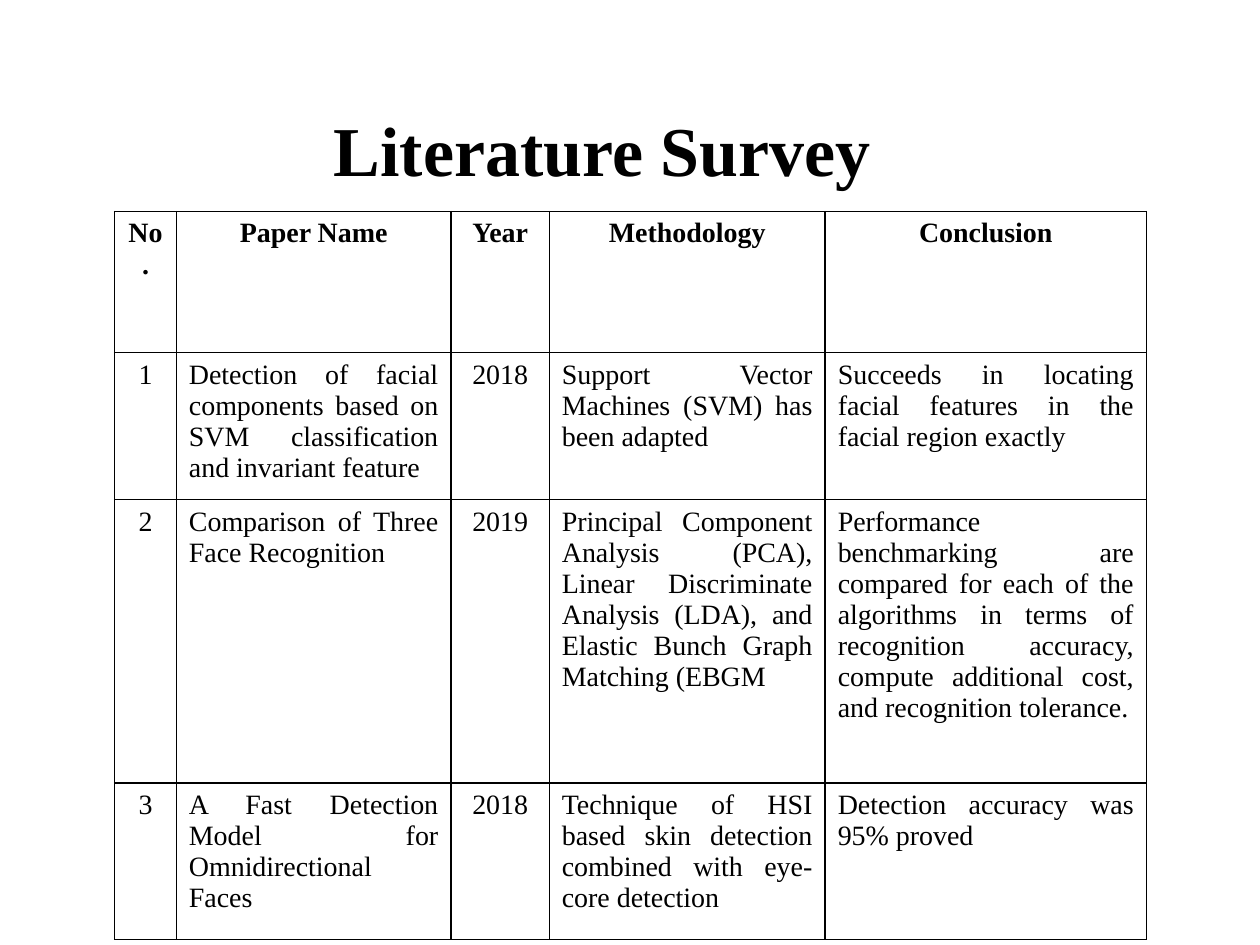
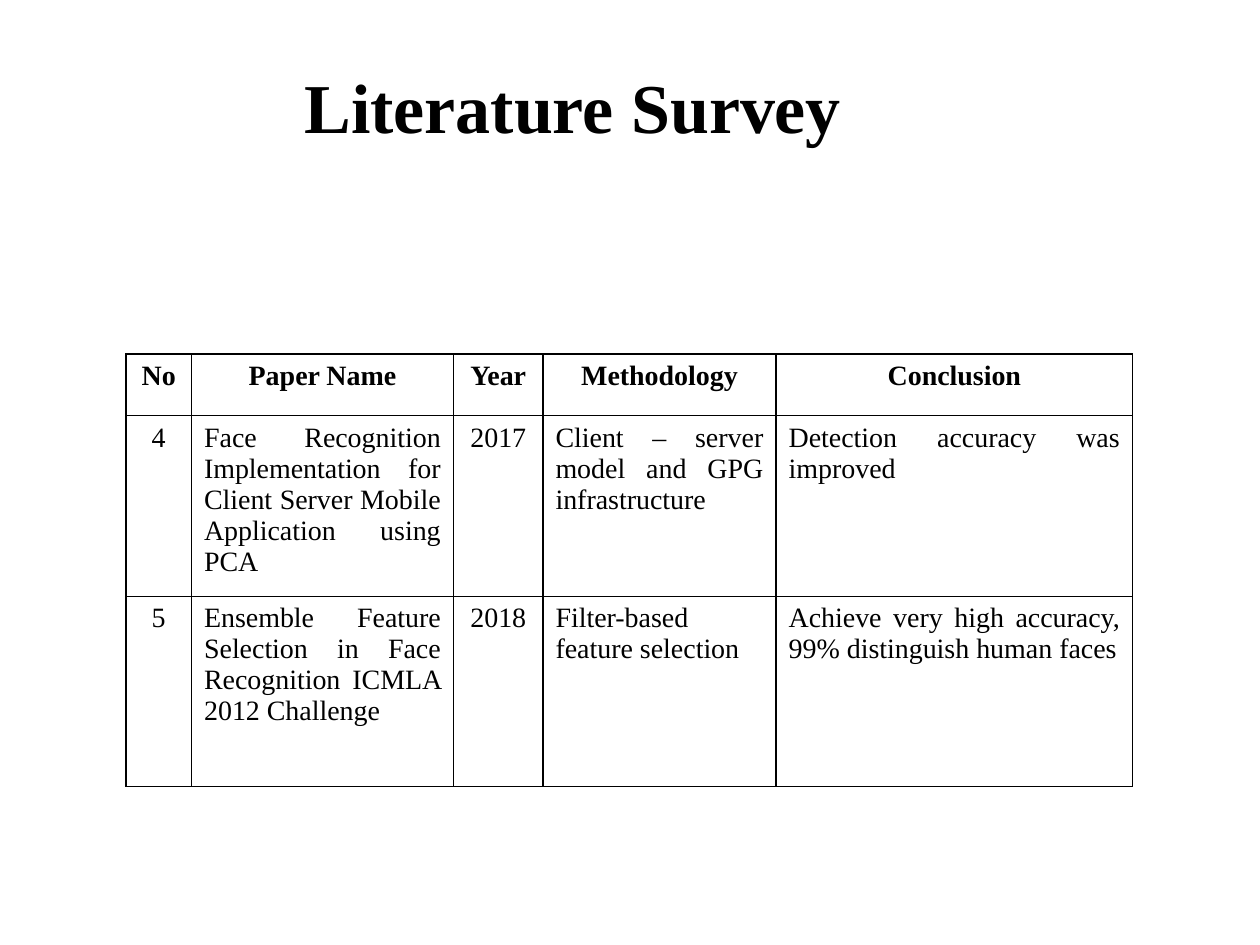
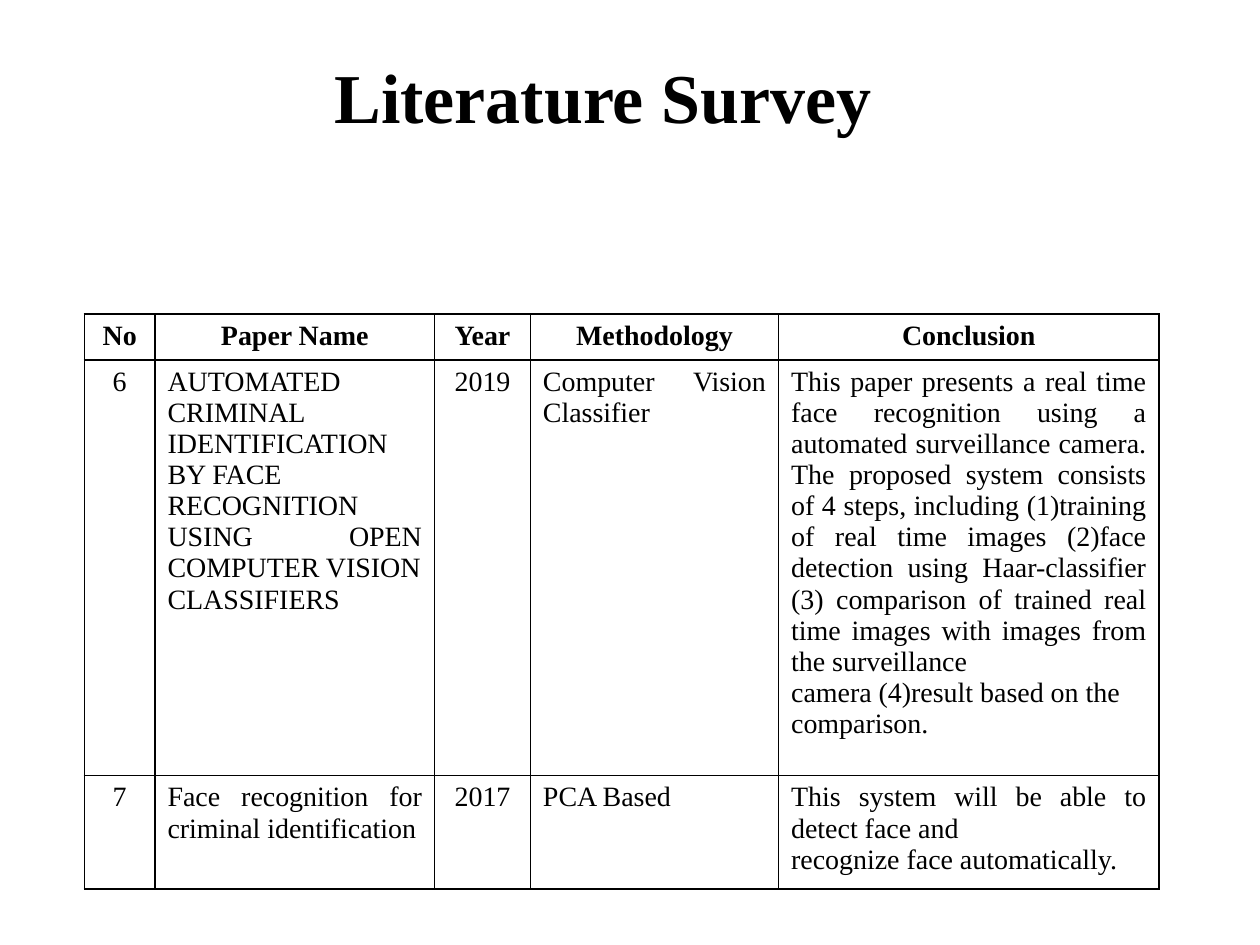
from lxml import etree
from pptx import Presentation
from pptx.dml.color import RGBColor
from pptx.enum.text import MSO_ANCHOR, PP_ALIGN
from pptx.oxml.ns import qn
from pptx.util import Inches, Pt

BLACK = RGBColor(0x00, 0x00, 0x00)
WHITE = RGBColor(0xFF, 0xFF, 0xFF)
FONT = "Times New Roman"
TITLE_SIZE, CELL_SIZE, BORDER = 40, 16, Pt(1)
CENTERED_COLS = (0, 2)  # number and year

# Content: a line break in a cell starts a new paragraph
SURVEYS = [
    {
        "title": "Literature Survey",
        "title_box": (0.28, 0.68, 9, 1),
        "origin": (0.91, 1.68),
        "cols": (0.49, 2.18, 0.78, 2.19, 2.55),
        "heights": (1.12, 1.04, 2.25, 1.24),
        "number_head": "No.",
        "papers": [
            ("1", "Detection of facial components based on SVM classification and invariant feature",
             "2018", "Support Vector Machines (SVM) has been adapted",
             "Succeeds in locating facial features in the facial region exactly"),
            ("2", "Comparison of Three Face Recognition", "2019",
             "Principal Component Analysis (PCA), Linear Discriminate Analysis (LDA), "
             "and Elastic Bunch Graph Matching (EBGM",
             "Performance benchmarking are compared for each of the algorithms in terms of "
             "recognition accuracy, compute additional cost, and recognition tolerance."),
            ("3", "A Fast Detection Model for Omnidirectional Faces", "2018",
             "Technique of HSI based skin detection combined with eye-core detection",
             "Detection accuracy was 95% proved"),
        ],
    },
    {
        "title": "Literature Survey ",
        "title_box": (1.3, 0.29, 6.63, 1.09),
        "origin": (1, 2.81),
        "cols": (0.52, 2.08, 0.71, 1.85, 2.83),
        "heights": (0.49, 1.26, 1.51),
        "number_head": "No",
        "papers": [
            ("4", "Face Recognition Implementation for Client Server Mobile Application using PCA",
             "2017", "Client – server model and GPG infrastructure",
             "Detection accuracy was improved"),
            ("5", "Ensemble Feature Selection in Face Recognition ICMLA 2012 Challenge",
             "2018", "Filter-based feature selection",
             "Achieve very high accuracy, 99% distinguish human faces"),
        ],
    },
    {
        "title": "Literature Survey ",
        "title_box": (1.54, 0.21, 6.63, 1.09),
        "origin": (0.67, 2.49),
        "cols": (0.56, 2.22, 0.76, 1.97, 3.02),
        "heights": (0.27, 2.86, 0.84),
        "number_head": "No",
        "papers": [
            ("6", "AUTOMATED CRIMINAL IDENTIFICATION BY FACE\n"
             "RECOGNITION USING OPEN COMPUTER VISION\nCLASSIFIERS",
             "2019", "Computer Vision Classifier",
             "This paper presents a real time face recognition using a automated surveillance "
             "camera. The proposed system consists of 4 steps, including (1)training of real "
             "time images (2)face detection using Haar-classifier (3) comparison of trained "
             "real time images with images from the surveillance\n"
             "camera (4)result based on the\ncomparison."),
            ("7", "Face recognition for criminal identification", "2017", "PCA Based",
             "This system will be able to detect face and\nrecognize face automatically. "),
        ],
    },
]
HEADS = ("Paper Name", "Year", "Methodology", "Conclusion")


def write(tf, text, size, bold, align):
    for i, line in enumerate(text.split("\n")):
        p = tf.paragraphs[0] if i == 0 else tf.add_paragraph()
        p.alignment = align
        r = p.add_run()
        r.text = line
        r.font.name, r.font.size, r.font.bold = FONT, Pt(size), bold
        r.font.color.rgb = BLACK


def add_borders(cell):
    tcPr = cell._tc.get_or_add_tcPr()
    for side in ("a:lnL", "a:lnR", "a:lnT", "a:lnB"):
        ln = etree.SubElement(tcPr, qn(side), w=str(BORDER))
        fill = etree.SubElement(ln, qn("a:solidFill"))
        etree.SubElement(fill, qn("a:srgbClr"), val=str(BLACK))


def add_title(s, text, box):
    tf = s.shapes.add_textbox(*map(Inches, box)).text_frame
    tf.word_wrap = True
    tf.vertical_anchor = MSO_ANCHOR.MIDDLE
    write(tf, text, TITLE_SIZE, True, PP_ALIGN.CENTER)


def add_survey_table(s, survey):
    cols, heights = survey["cols"], survey["heights"]
    rows = [(survey["number_head"], *HEADS), *survey["papers"]]
    size = (sum(cols), sum(heights))
    table = s.shapes.add_table(len(rows), len(cols),
                               *map(Inches, survey["origin"] + size)).table
    table.first_row = table.horz_banding = False
    for col, width in zip(table.columns, cols):
        col.width = Inches(width)
    for row, height in zip(table.rows, heights):
        row.height = Inches(height)
    for i, texts in enumerate(rows):
        for j, text in enumerate(texts):
            cell = table.cell(i, j)
            add_borders(cell)
            cell.fill.solid()
            cell.fill.fore_color.rgb = WHITE
            centered = i == 0 or j in CENTERED_COLS
            write(cell.text_frame, text, CELL_SIZE, i == 0,
                  PP_ALIGN.CENTER if centered else PP_ALIGN.JUSTIFY)


def main():
    prs = Presentation()
    prs.slide_width, prs.slide_height = Inches(10), Inches(7.5)
    for survey in SURVEYS:
        s = prs.slides.add_slide(prs.slide_layouts[6])
        add_title(s, survey["title"], survey["title_box"])
        add_survey_table(s, survey)
    prs.save("out.pptx")


if __name__ == "__main__":
    main()
